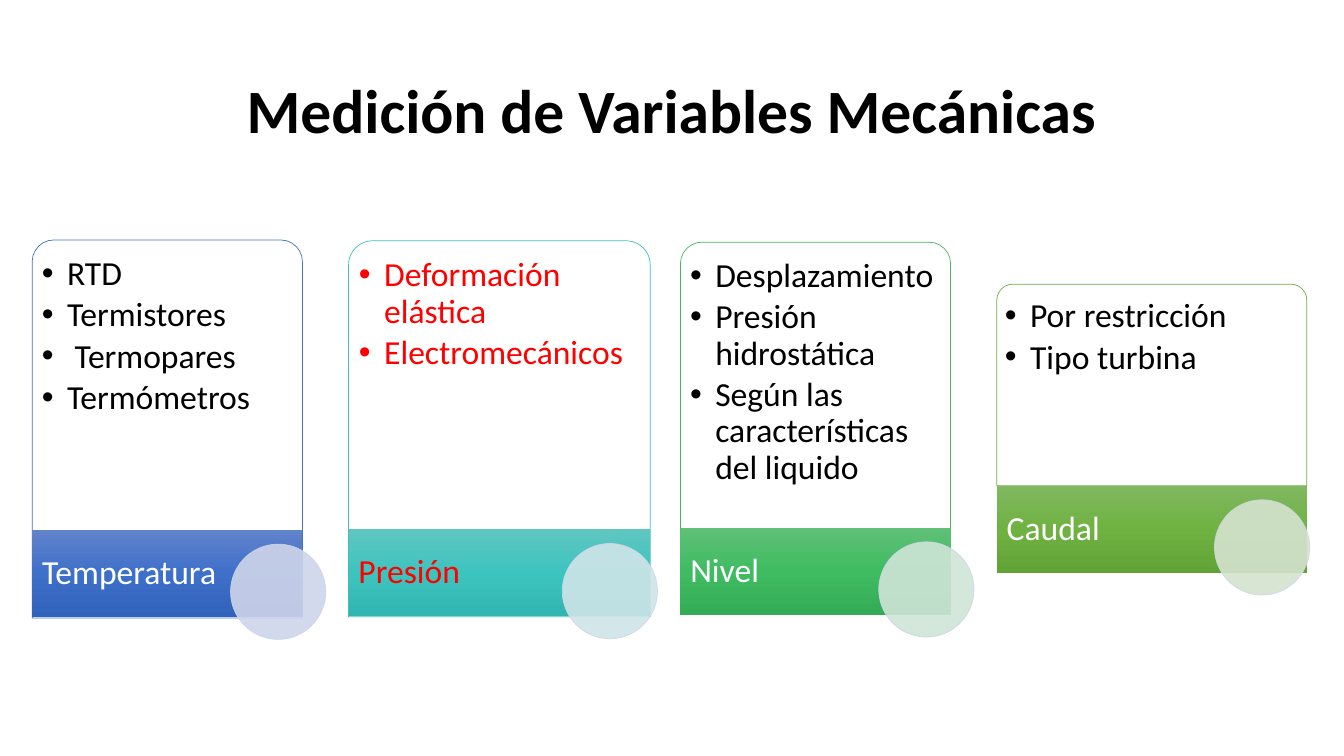
"""Build a slide with four cards on measuring mechanical variables."""
from copy import deepcopy

from lxml.etree import SubElement
from pptx import Presentation
from pptx.dml.color import RGBColor
from pptx.enum.shapes import MSO_SHAPE
from pptx.enum.text import MSO_ANCHOR, MSO_AUTO_SIZE, PP_ALIGN
from pptx.oxml.ns import qn
from pptx.util import Pt

TITLE = "Medición de Variables Mecánicas"
COLORS = {"black": "000000", "white": "FFFFFF", "red": "FF0000", "disc_line": "CFD5EA"}
CARDS = [
    {"name": "Temperatura", "items": ["RTD", "Termistores", " Termopares", "Termómetros"],
     "left": 23, "top": 171.4, "width": 193, "height": 270, "bar_top": 378.7, "disc_left": 164.7,
     "text": "black", "label": "white", "line": "4472C4", "disc": "CFD5EA",
     "gradient": ["6183CB", "3E70CA", "3062BB"]},
    {"name": "Presión", "items": ["Deformación elástica", "Electromecánicos"],
     "left": 249, "top": 172, "width": 215.5, "height": 268.6, "bar_top": 378.2, "disc_left": 401.6,
     "text": "red", "label": "red", "line": "43BEB9", "disc": "CFE5E8",
     "gradient": ["60C6C1", "3DC4BF", "30B5B0"]},
    {"name": "Nivel",
     "items": ["Desplazamiento", "Presión hidrostática", "Según las características del liquido"],
     "left": 486, "top": 173, "width": 193, "height": 263.5, "bar_top": 377, "disc_left": 627.7,
     "text": "black", "label": "white", "line": "45B664", "disc": "CFE5D8",
     "gradient": ["60C077", "3FBC62", "33AC55"]},
    {"name": "Caudal", "items": ["Por restricción", "Tipo turbina"],
     "left": 712, "top": 203, "width": 221.5, "height": 144, "bar_top": 347, "disc_left": 867.5,
     "text": "black", "label": "white", "line": "70AD47", "disc": "D5E3CF",
     "gradient": ["81B861", "6FB242", "62A336"]},
]
BAR_HEIGHT, DISC_SIZE, DISC_DROP = 62, 68, 10
BULLET_INDENT = 18


def rgb(value):
    return RGBColor.from_string(COLORS.get(value, value))


def add_box(page, kind, left, top, width, height):
    box = page.shapes.add_shape(kind, Pt(left), Pt(top), Pt(width), Pt(height))
    box.shadow.inherit = False
    return box


def fill_box(box, fill, line):
    box.fill.solid()
    box.fill.fore_color.rgb = rgb(fill)
    box.line.color.rgb = rgb(line)
    box.line.width = Pt(0.5)


def write(box, lines, color, anchor, margins, size=24, align=PP_ALIGN.LEFT, bold=False):
    frame = box.text_frame
    frame.text = "\n".join(lines)
    frame.word_wrap = True
    frame.auto_size = MSO_AUTO_SIZE.NONE
    frame.vertical_anchor = anchor
    frame.margin_left, frame.margin_top, frame.margin_right, frame.margin_bottom = map(Pt, margins)
    for para in frame.paragraphs:
        para.alignment = align
        para.line_spacing = 0.9
        for span in para.runs:
            span.font.name = "Calibri"
            span.font.size = Pt(size)
            span.font.bold = bold
            span.font.color.rgb = rgb(color)


def add_bullet(para):
    para.space_after = Pt(3.6)
    properties = para._p.get_or_add_pPr()
    properties.set("marL", str(Pt(BULLET_INDENT)))
    properties.set("indent", str(-Pt(BULLET_INDENT)))
    SubElement(properties, qn("a:buFont"), typeface="Arial")
    SubElement(properties, qn("a:buChar"), char="•")


def fill_gradient(box, colors):
    box.fill.gradient()
    box.fill.gradient_angle = 270
    stop_list = box._element.spPr.find(".//" + qn("a:gsLst"))
    stop_list.append(deepcopy(stop_list[0]))
    for index, (stop, color) in enumerate(zip(box.fill.gradient_stops, colors)):
        stop.position = index / 2
        stop.color.rgb = rgb(color)


def add_card(page, card):
    left, width = card["left"], card["width"]
    panel = add_box(page, MSO_SHAPE.ROUND_2_SAME_RECTANGLE, left, card["top"], width, card["height"])
    panel.adjustments[0], panel.adjustments[1] = 0.08, 0
    fill_box(panel, "white", card["line"])
    write(panel, card["items"], card["text"], MSO_ANCHOR.TOP, (2.4, 7.2, 2.4, 2.4))
    for para in panel.text_frame.paragraphs:
        add_bullet(para)

    bar = add_box(page, MSO_SHAPE.RECTANGLE, left, card["bar_top"], width, BAR_HEIGHT)
    fill_gradient(bar, card["gradient"])
    bar.line.fill.background()
    write(bar, [card["name"]], card["label"], MSO_ANCHOR.MIDDLE, (7.2, 0, width * 0.3, 0))

    disc = add_box(page, MSO_SHAPE.OVAL, card["disc_left"], card["bar_top"] + DISC_DROP,
                   DISC_SIZE, DISC_SIZE)
    fill_box(disc, card["disc"], "disc_line")
    for color in disc._element.spPr.iter(qn("a:srgbClr")):
        SubElement(color, qn("a:alpha"), val="90000")


def main():
    deck = Presentation()
    deck.slide_width, deck.slide_height = Pt(960), Pt(540)
    page = deck.slides.add_slide(deck.slide_layouts[5])
    title = page.shapes.title
    title.left, title.top, title.width, title.height = Pt(66), Pt(28.8), Pt(828), Pt(104.4)
    write(title, [TITLE], "black", MSO_ANCHOR.MIDDLE, (7.2, 3.6, 7.2, 3.6),
          size=44, align=PP_ALIGN.CENTER, bold=True)
    for card in CARDS:
        add_card(page, card)
    deck.save("out.pptx")


if __name__ == "__main__":
    main()
